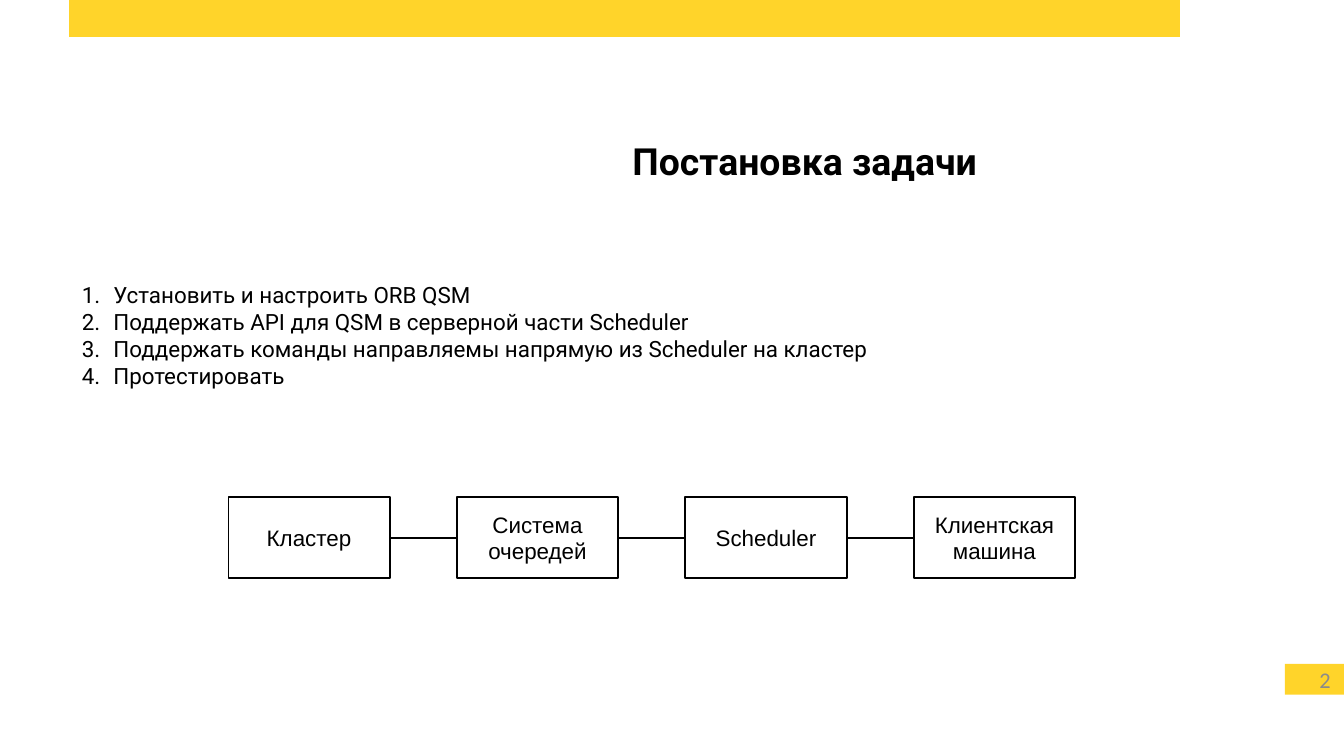
from lxml.etree import SubElement
from pptx import Presentation
from pptx.dml.color import RGBColor
from pptx.enum.shapes import MSO_CONNECTOR, MSO_SHAPE
from pptx.enum.text import MSO_ANCHOR, PP_ALIGN
from pptx.oxml.ns import qn
from pptx.util import Pt

SCALE = 4572
SLIDE_SIZE = (2000, 1125)
YELLOW, BLACK, GRAY = "FFD42A", "000000", "8B8B8B"

BARS = [(103, 0, 1653, 55), (1912, 988, 88, 46)]
PAGE_NUMBER = "2"
TITLE = "Постановка задачи"
TASKS = [
    "Установить и настроить ORB QSM",
    "Поддержать API для QSM в серверной части Scheduler",
    "Поддержать команды направляемы напрямую из Scheduler на кластер",
    "Протестировать",
]
STAGES = [["Кластер"], ["Система", "очередей"], ["Scheduler"], ["Клиентская", "машина"]]
STAGE_LEFT, STAGE_TOP, STAGE_WIDTH, STAGE_HEIGHT, STAGE_GAP = 340, 740, 240, 120, 100
LIST_INDENT = 47


def px(*lengths):
    return [length * SCALE for length in lengths]


def color(value):
    return RGBColor.from_string(value)


def write(shape, lines, font, size, ink=BLACK, align=PP_ALIGN.LEFT, anchor=MSO_ANCHOR.TOP, bold=False):
    frame = shape.text_frame
    frame.word_wrap = True
    frame.vertical_anchor = anchor
    for index, line in enumerate(lines):
        paragraph = frame.paragraphs[0] if index == 0 else frame.add_paragraph()
        paragraph.alignment = align
        run = paragraph.add_run()
        run.text = line
        run.font.name = font
        run.font.size = Pt(size)
        run.font.bold = bold
        run.font.color.rgb = color(ink)


def add_text(slide, box, lines, font, size, **style):
    shape = slide.shapes.add_textbox(*px(*box))
    write(shape, lines, font, size, **style)
    return shape


def add_box(slide, box):
    shape = slide.shapes.add_shape(MSO_SHAPE.RECTANGLE, *px(*box))
    shape.shadow.inherit = False
    return shape


def number_paragraphs(shape):
    for paragraph in shape.text_frame.paragraphs:
        properties = paragraph._p.get_or_add_pPr()
        properties.set("marL", str(LIST_INDENT * SCALE))
        properties.set("indent", str(-LIST_INDENT * SCALE))
        bullet_color = SubElement(properties, qn("a:buClr"))
        SubElement(bullet_color, qn("a:srgbClr"), val=BLACK)
        SubElement(properties, qn("a:buFont"), typeface="Roboto")
        SubElement(properties, qn("a:buAutoNum"), type="arabicPeriod")


def add_stage(slide, left, lines):
    stage = add_box(slide, (left, STAGE_TOP, STAGE_WIDTH, STAGE_HEIGHT))
    stage.fill.background()
    stage.line.color.rgb = color(BLACK)
    stage.line.width = Pt(1)
    frame = stage.text_frame
    frame.margin_left, frame.margin_top, frame.margin_right, frame.margin_bottom = px(22, 12, 22, 12)
    write(stage, lines, "Arial", 12, align=PP_ALIGN.CENTER, anchor=MSO_ANCHOR.MIDDLE)


def add_link(slide, start, end):
    middle = STAGE_TOP + STAGE_HEIGHT // 2
    link = slide.shapes.add_connector(MSO_CONNECTOR.STRAIGHT, *px(start, middle, end, middle))
    link.line.color.rgb = color(BLACK)
    link.line.width = Pt(1)
    SubElement(link._element.spPr, qn("a:effectLst"))


def main():
    """Build the task statement slide with its list and chain of stages."""
    presentation = Presentation()
    presentation.slide_width, presentation.slide_height = px(*SLIDE_SIZE)
    slide = presentation.slides.add_slide(presentation.slide_layouts[6])

    for box in BARS:
        bar = add_box(slide, box)
        bar.fill.solid()
        bar.fill.fore_color.rgb = color(YELLOW)
        bar.line.fill.background()

    add_text(slide, (1534, 982, 466, 60), [PAGE_NUMBER], "Calibri", 12, ink=GRAY,
             align=PP_ALIGN.RIGHT, anchor=MSO_ANCHOR.MIDDLE)
    add_text(slide, (106, 196, 1368, 154), [TITLE], "Roboto", 20, align=PP_ALIGN.RIGHT, bold=True)
    number_paragraphs(add_text(slide, (102, 409, 1798, 260), TASKS, "Roboto", 12))

    lefts = [STAGE_LEFT + index * (STAGE_WIDTH + STAGE_GAP) for index in range(len(STAGES))]
    for left, lines in zip(lefts, STAGES):
        add_stage(slide, left, lines)
    for left in lefts[1:]:
        add_link(slide, left - STAGE_GAP, left)

    presentation.save("out.pptx")


if __name__ == "__main__":
    main()
